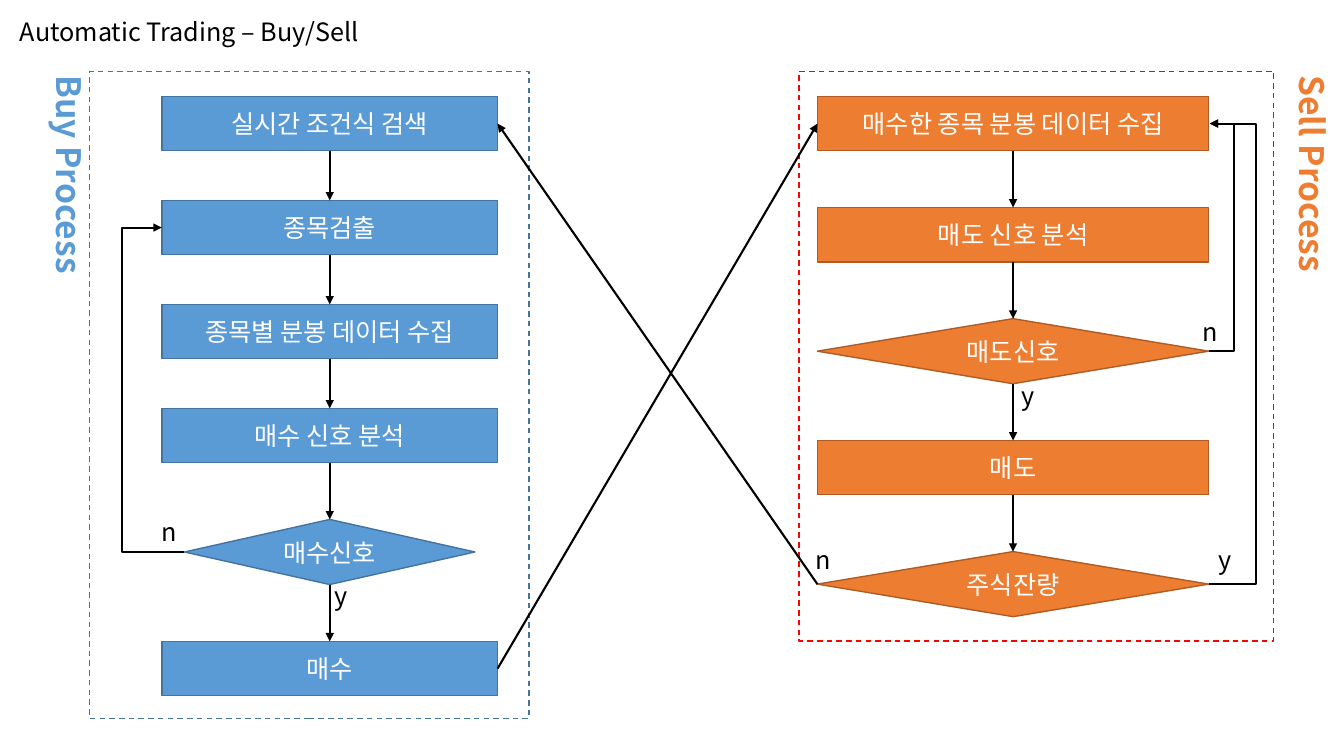
from dataclasses import dataclass
from itertools import pairwise

from lxml import etree
from pptx import Presentation
from pptx import util as u
from pptx.dml.color import RGBColor
from pptx.enum import dml, shapes, text
from pptx.oxml.ns import qn


@dataclass(frozen=True)
class Theme:
    font: str = "Noto Sans CJK KR"
    body: int = 18
    heading: int = 24
    ink: str = "000000"
    paper: str = "FFFFFF"
    blue: str = "5B9BD5"
    blue_edge: str = "43739E"
    orange: str = "ED7D31"
    orange_edge: str = "AF5C24"
    red: str = "FF0000"
    edge: float = 1
    arrow: float = 1.5


T = Theme()
STEP_H, DECISION_H = 1.37, 1.64
TOP, LEFT, BOTTOM, RIGHT = range(4)


def apply(obj, values):
    for name, value in values.items():
        setattr(obj, name, value)


def write(sp, words, color, size=T.body, bold=False, align=text.PP_ALIGN.LEFT, **frame):
    tf = sp.text_frame
    apply(tf, {"word_wrap": True, "auto_size": text.MSO_AUTO_SIZE.NONE,
               "vertical_anchor": text.MSO_ANCHOR.TOP, **frame})
    p = tf.paragraphs[0]
    p.alignment = align
    r = p.add_run()
    r.text = words
    apply(r.font, {"name": T.font, "size": u.Pt(size), "bold": bold})
    r.font.color.rgb = RGBColor.from_string(color)
    etree.SubElement(r._r.get_or_add_rPr(), qn("a:ea"), typeface=T.font)


def add_label(s, words, x, y, w=0.89, h=1.02, color=T.ink, **style):
    sp = s.shapes.add_textbox(*map(u.Cm, (x, y, w, h)))
    write(sp, words, color, **style)
    return sp


def add_block(s, kind, box, fill, edge):
    sp = s.shapes.add_shape(kind, *map(u.Cm, box))
    sp.shadow.inherit = False
    sp.fill.solid()
    sp.fill.fore_color.rgb = RGBColor.from_string(fill)
    sp.line.color.rgb = RGBColor.from_string(edge)
    sp.line.width = u.Pt(T.edge)
    return sp


def add_arrow(s, kind, x1=0, y1=0, x2=0, y2=0):
    line = s.shapes.add_connector(kind, *map(u.Cm, (x1, y1, x2, y2)))
    line.line.color.rgb = RGBColor.from_string(T.ink)
    line.line.width = u.Pt(T.arrow)
    etree.SubElement(line.line._get_or_add_ln(), qn("a:tailEnd"), type="triangle")
    etree.SubElement(line._element.spPr, qn("a:effectLst"))
    return line


def link(s, start, start_site, end, end_site):
    line = add_arrow(s, shapes.MSO_CONNECTOR.STRAIGHT)
    line.begin_connect(start, start_site)
    line.end_connect(end, end_site)


def loop(s, x1, y1, x2, y2, lane):
    line = add_arrow(s, shapes.MSO_CONNECTOR.ELBOW, x1, y1, x2, y2)
    line.adjustments = None
    geom = line._element.spPr.find(qn("a:prstGeom"))
    guides = geom.find(qn("a:avLst"))
    if guides is None:
        guides = etree.SubElement(geom, qn("a:avLst"))
    bend = round((lane - x1) / (x2 - x1) * 100000)
    etree.SubElement(guides, qn("a:gd"), name="adj1", fmla=f"val {bend}")


def add_title(s, words, x, y, w, h):
    sp = s.shapes.title
    apply(sp, dict(zip(("left", "top", "width", "height"), map(u.Cm, (x, y, w, h)))))
    write(sp, words, T.ink, word_wrap=False)


def add_frame(s, box, edge, heading, heading_x, color):
    sp = add_block(s, shapes.MSO_SHAPE.RECTANGLE, box, T.paper, edge)
    sp.line.dash_style = dml.MSO_LINE.DASH
    side = add_label(s, heading, heading_x, box[1] - 0.15, 1.55, 5.16, color,
                     size=T.heading, bold=True, word_wrap=False)
    side.text_frame._txBody.bodyPr.set("vert", "eaVert")


def add_steps(s, x, y, w, steps, gaps, decision_w, fill, edge):
    blocks = []
    for (words, is_decision), gap in zip(steps, gaps + [0]):
        kind = shapes.MSO_SHAPE.FLOWCHART_DECISION if is_decision else shapes.MSO_SHAPE.RECTANGLE
        bw, bh = (decision_w, DECISION_H) if is_decision else (w, STEP_H)
        sp = add_block(s, kind, (x + (w - bw) / 2, y, bw, bh), fill, edge)
        write(sp, words, T.paper, align=text.PP_ALIGN.CENTER,
              vertical_anchor=text.MSO_ANCHOR.MIDDLE)
        blocks.append(sp)
        y += bh + gap
    for upper, lower in pairwise(blocks):
        link(s, upper, BOTTOM, lower, TOP)
    return blocks


def edges(sp):
    left, top, w, h = (v.cm for v in (sp.left, sp.top, sp.width, sp.height))
    return left, left + w, left + w / 2, top + h / 2, top + h


def buy_process(s, x, y, w, h):
    add_frame(s, (x, y, w, h), T.blue_edge, "Buy Process", x - 1.42, T.blue)
    steps = [("실시간 조건식 검색", False), ("종목검출", False),
             ("종목별 분봉 데이터 수집", False), ("매수 신호 분석", False),
             ("매수신호", True), ("매수", False)]
    blocks = add_steps(s, x + 1.82, y + 0.63, 8.46, steps,
                       [1.25] * 3 + [1.43] * 2, 7.32, T.blue, T.blue_edge)
    found, signal = blocks[1], blocks[4]
    left, _, center, middle, bottom = edges(signal)
    target_left, _, _, target_middle, _ = edges(found)
    loop(s, left, middle, target_left, target_middle, x + 0.82)
    add_label(s, "n", left - 0.84, middle - 1.02)
    add_label(s, "y", center - 0.13, bottom - 0.22)
    return blocks


def sell_process(s, x, y, w, h):
    add_frame(s, (x, y, w, h), T.red, "Sell Process", x + w + 0.06, T.orange)
    steps = [("매수한 종목 분봉 데이터 수집", False), ("매도 신호 분석", False),
             ("매도신호", True), ("매도", False), ("주식잔량", True)]
    blocks = add_steps(s, x + 0.46, y + 0.63, 9.86, steps,
                       [1.43] * 4, 9.86, T.orange, T.orange_edge)
    collect, _, signal, _, balance = blocks
    _, target_right, _, target_middle, _ = edges(collect)
    for decision, lane in ((signal, 0.63), (balance, 1.19)):
        _, right, _, middle, _ = edges(decision)
        loop(s, right, middle, target_right + 0.03, target_middle, right + lane)
    _, right, center, middle, bottom = edges(signal)
    add_label(s, "n", right - 0.41, middle - 1)
    add_label(s, "y", center - 0.03, bottom - 0.2)
    left, right, _, middle, _ = edges(balance)
    add_label(s, "n", left - 0.3, middle - 1.14)
    add_label(s, "y", right, middle - 1.14)
    return blocks


def main():
    prs = Presentation()
    prs.slide_width, prs.slide_height = u.Cm(33.87), u.Cm(19.05)
    s = prs.slides.add_slide(prs.slide_layouts[5])
    add_title(s, "Automatic Trading – Buy/Sell", 0.25, 0.28, 9.19, 1.02)
    sell = sell_process(s, 20.14, 1.8, 11.96, 14.35)
    buy = buy_process(s, 2.26, 1.8, 11.07, 16.31)
    link(s, buy[-1], RIGHT, sell[0], LEFT)
    link(s, sell[-1], LEFT, buy[0], RIGHT)
    prs.save("out.pptx")


if __name__ == "__main__":
    main()
